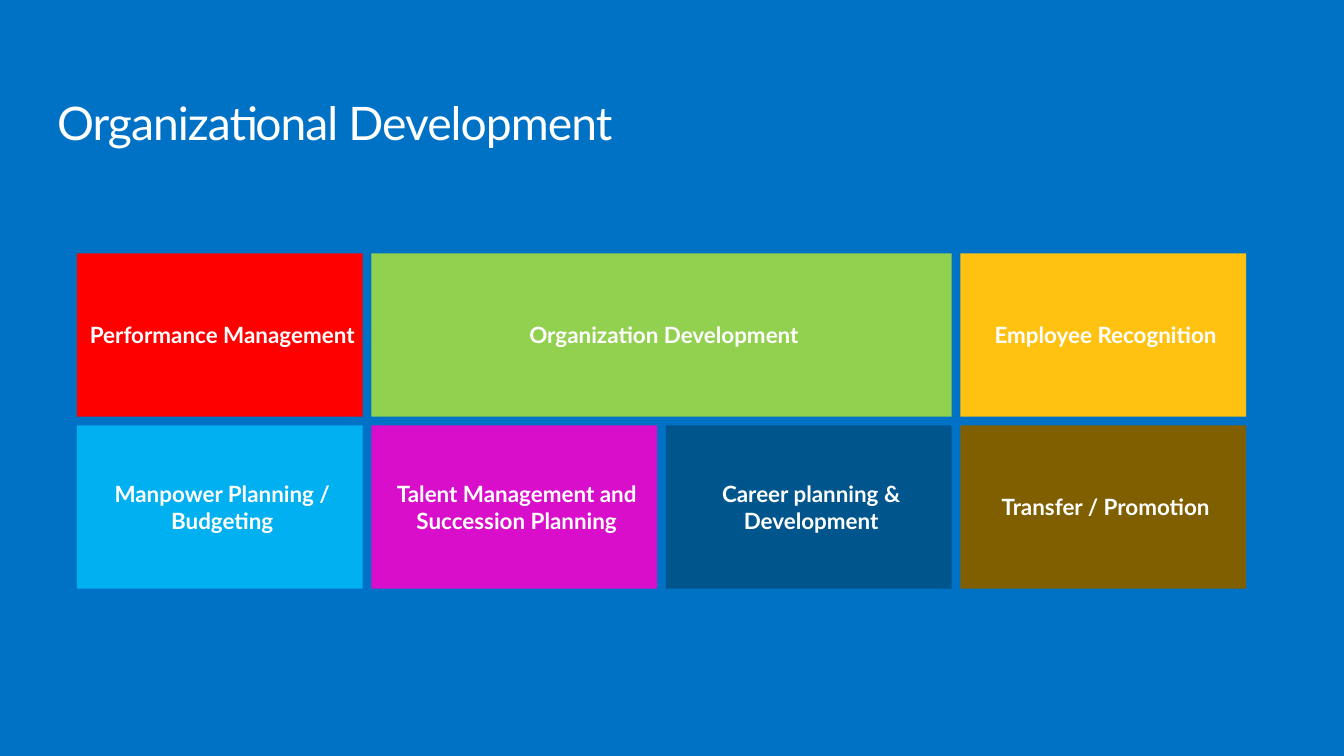
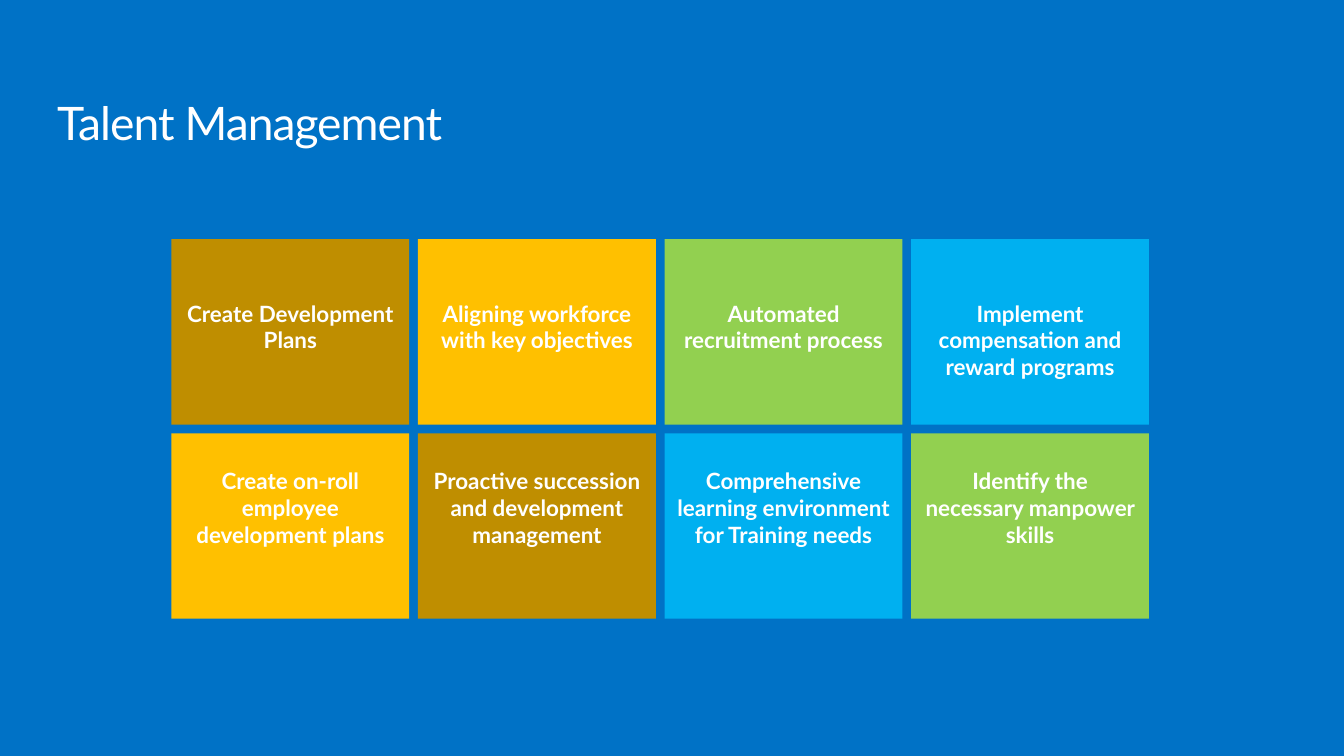
from pptx import Presentation
from pptx.dml.color import RGBColor
from pptx.enum.shapes import MSO_SHAPE
from pptx.enum.text import MSO_ANCHOR, PP_ALIGN
from pptx.util import Cm, Pt

RECTANGLE = MSO_SHAPE.RECTANGLE
TOP, MIDDLE = MSO_ANCHOR.TOP, MSO_ANCHOR.MIDDLE
LEFT, CENTER = PP_ALIGN.LEFT, PP_ALIGN.CENTER

BLUE = RGBColor(0x00, 0x72, 0xC6)
WHITE = RGBColor(0xFF, 0xFF, 0xFF)
RED = RGBColor(0xFF, 0x00, 0x00)
GREEN = RGBColor(0x92, 0xD0, 0x50)
AMBER = RGBColor(0xFF, 0xC2, 0x11)
GOLD = RGBColor(0xFF, 0xC0, 0x00)
OCHRE = RGBColor(0xBF, 0x8E, 0x00)
BROWN = RGBColor(0x80, 0x5F, 0x00)
SKY = RGBColor(0x00, 0xB0, 0xF0)
MAGENTA = RGBColor(0xD8, 0x0E, 0xCA)
NAVY = RGBColor(0x00, 0x55, 0x8D)
FONT = "Lato"

# Content: each tile is (text, fill, columns spanned)
# Insets are left, top, right, bottom in cm, one set for each row
SLIDES = [
    {
        "title": "Organizational Development",
        "origin": (2.91, 9.58),
        "tile": (10.8, 6.17),
        "anchor": MIDDLE,
        "insets": [(0.18, 0.18, 0, 0.18)] * 2,
        "rows": [
            [("Performance Management", RED, 1),
             ("Organization Development", GREEN, 2),
             ("Employee Recognition", AMBER, 1)],
            [("Manpower Planning /\nBudgeting", SKY, 1),
             ("Talent Management and Succession Planning", MAGENTA, 1),
             ("Career planning & Development", NAVY, 1),
             ("Transfer / Promotion", BROWN, 1)],
        ],
    },
    {
        "title": "Talent Management",
        "origin": (6.48, 9.04),
        "tile": (8.99, 7.01),
        "anchor": TOP,
        "insets": [(0.38, 2.29, 0.38, 0.25), (0.38, 1.27, 0.38, 0.25)],
        "rows": [
            [("Create Development Plans", OCHRE, 1),
             ("Aligning workforce with key objectives", GOLD, 1),
             ("Automated recruitment process", GREEN, 1),
             ("Implement compensation and reward programs", SKY, 1)],
            [("Create on-roll employee development plans", GOLD, 1),
             ("Proactive succession and development management", OCHRE, 1),
             ("Comprehensive learning environment for Training needs", SKY, 1),
             ("Identify the necessary manpower skills", GREEN, 1)],
        ],
    },
]
GAP = 0.33


def write_text(holder, text, size=24, bold=True, align=CENTER, anchor=TOP,
               insets=(0, 0, 0, 0), line_spacing=None, tracking=None):
    frame = holder.text_frame
    frame.word_wrap = True
    frame.vertical_anchor = anchor
    (frame.margin_left, frame.margin_top,
     frame.margin_right, frame.margin_bottom) = map(Cm, insets)
    frame.text = text
    for paragraph in frame.paragraphs:
        paragraph.alignment = align
        paragraph.line_spacing = line_spacing
        for run in paragraph.runs:
            run.font.name = FONT
            run.font.size = Pt(size)
            run.font.bold = bold
            run.font.color.rgb = WHITE
            if tracking is not None:
                run.font._element.set("spc", str(tracking))


def add_title(slide, text):
    title = slide.shapes.add_textbox(Cm(2.16), Cm(3.81), Cm(46.46), Cm(2.52))
    write_text(title, text, size=49.5, bold=False, align=LEFT,
               line_spacing=0.9, tracking=-100)


def add_tiles(slide, content):
    left, top = content["origin"]
    width, height = content["tile"]
    for row, (tiles, insets) in enumerate(zip(content["rows"], content["insets"])):
        column = 0
        for text, fill, span in tiles:
            tile = slide.shapes.add_shape(
                RECTANGLE,
                Cm(left + column * (width + GAP)),
                Cm(top + row * (height + GAP)),
                Cm(span * (width + GAP) - GAP),
                Cm(height))
            tile.shadow.inherit = False
            tile.fill.solid()
            tile.fill.fore_color.rgb = fill
            tile.line.fill.background()
            write_text(tile, text, anchor=content["anchor"], insets=insets)
            column += span


def main():
    deck = Presentation()
    deck.slide_width, deck.slide_height = Cm(50.8), Cm(28.58)
    blank = deck.slide_layouts[6]

    # Shared background
    background = deck.slide_master.background.fill
    background.solid()
    background.fore_color.rgb = BLUE

    for content in SLIDES:
        slide = deck.slides.add_slide(blank)
        add_title(slide, content["title"])
        add_tiles(slide, content)
    deck.save("out.pptx")


if __name__ == "__main__":
    main()
